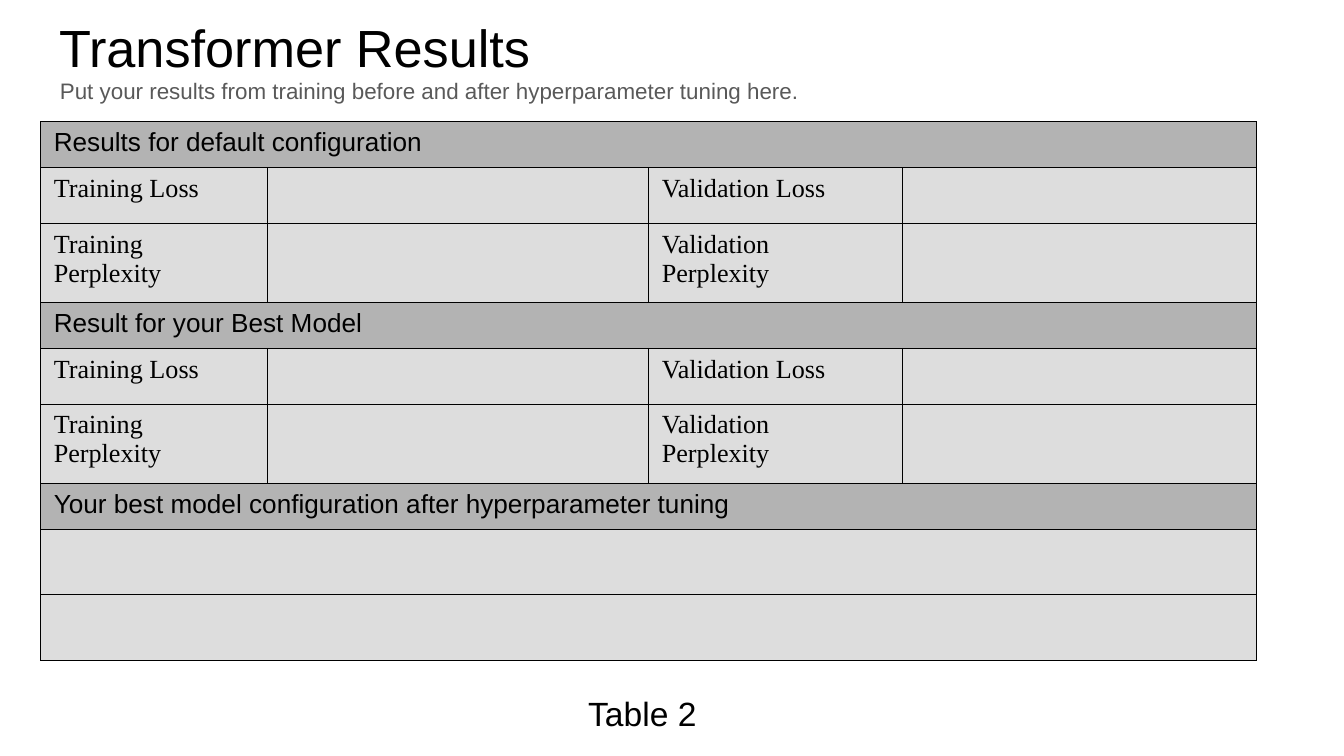
from pptx import Presentation
from pptx.dml.color import RGBColor as RGB
from pptx.enum.text import MSO_ANCHOR as Anchor, PP_ALIGN as Align
from pptx.oxml import parse_xml
from pptx.oxml.ns import nsdecls
from pptx.util import Pt

THEME = {
    "sans": "Arial", "serif": "Times New Roman",
    "ink": "000000", "muted": "595959", "band": "B3B3B3", "cell": "DDDDDD",
    "title": 28, "caption": 18, "table": 14, "subtitle": 12, "border": 0.06,
}

TITLE = "Transformer Results"
SUBTITLE = "Put your results from training before and after hyperparameter tuning here."
CAPTION = "Table 2"

METRICS = [
    ("loss", ["Training Loss", "", "Validation Loss", ""]),
    ("perplexity", ["Training Perplexity", "", "Validation\vPerplexity", ""]),
]
ROWS = [
    ("heading", ["Results for default configuration"]),
    *METRICS,
    ("heading", ["Result for your Best Model"]),
    *METRICS,
    ("heading", ["Your best model configuration after hyperparameter tuning"]),
    ("blank", [""]),
    ("blank", [""]),
]
ROW_HEIGHTS = {"heading": 24.6, "loss": 30, "perplexity": 42.3, "blank": 35.1}
COLUMN_WIDTHS = [121.6, 204.2, 135.7, 190.1]
TABLE_LEFT, TABLE_TOP = 21.6, 65


def format_text(text_frame, size, color="ink", font="sans"):
    for paragraph in text_frame.paragraphs:
        paragraph.alignment = Align.LEFT
        for run in paragraph.runs:
            run.font.name = THEME[font]
            run.font.size = Pt(THEME[size])
            run.font.color.rgb = RGB.from_string(THEME[color])


def add_label(slide, text, left, top, width, height, size, color="ink"):
    shape = slide.shapes.add_textbox(Pt(left), Pt(top), Pt(width), Pt(height))
    shape.text_frame.word_wrap = True
    shape.text_frame.text = text
    format_text(shape.text_frame, size, color)


def add_title(slide):
    title = slide.shapes.title
    title.left, title.top, title.width, title.height = map(Pt, (24.5, 0.7, 671, 44.6))
    frame = title.text_frame
    frame.margin_left = frame.margin_right = Pt(7.2)
    frame.margin_top = frame.margin_bottom = Pt(7.2)
    frame.vertical_anchor = Anchor.TOP
    frame.text = TITLE
    format_text(frame, "title")


def style_cell(cell, fill):
    properties = cell._tc.get_or_add_tcPr()
    for side in ("lnL", "lnR", "lnT", "lnB"):
        properties.append(parse_xml(
            f'<a:{side} {nsdecls("a")} w="{Pt(THEME["border"])}"><a:solidFill>'
            f'<a:srgbClr val="{THEME["ink"]}"/></a:solidFill></a:{side}>'))
    cell.fill.solid()
    cell.fill.fore_color.rgb = RGB.from_string(THEME[fill])


def add_results_table(slide):
    heights = [ROW_HEIGHTS[kind] for kind, _ in ROWS]
    table = slide.shapes.add_table(
        len(ROWS), len(COLUMN_WIDTHS), Pt(TABLE_LEFT), Pt(TABLE_TOP),
        Pt(sum(COLUMN_WIDTHS)), Pt(sum(heights))).table
    table.first_row = table.horz_banding = False
    for column, width in zip(table.columns, COLUMN_WIDTHS):
        column.width = Pt(width)
    for index, (kind, texts) in enumerate(ROWS):
        table.rows[index].height = Pt(heights[index])
        cells = list(table.rows[index].cells)
        is_heading = kind == "heading"
        for cell in cells:
            style_cell(cell, "band" if is_heading else "cell")
        if len(texts) == 1:
            cells[0].merge(cells[-1])
        for cell, text in zip(cells, texts):
            if text:
                cell.text_frame.text = text
                format_text(cell.text_frame, "table", font="sans" if is_heading else "serif")


def main():
    presentation = Presentation()
    presentation.slide_width, presentation.slide_height = Pt(720), Pt(405)
    slide = presentation.slides.add_slide(presentation.slide_layouts[5])
    add_title(slide)
    add_results_table(slide)
    add_label(slide, SUBTITLE, 25, 37.7, 613, 27.4, "subtitle", "muted")
    add_label(slide, CAPTION, 308, 367.5, 79, 29, "caption")
    presentation.save("out.pptx")


if __name__ == "__main__":
    main()
